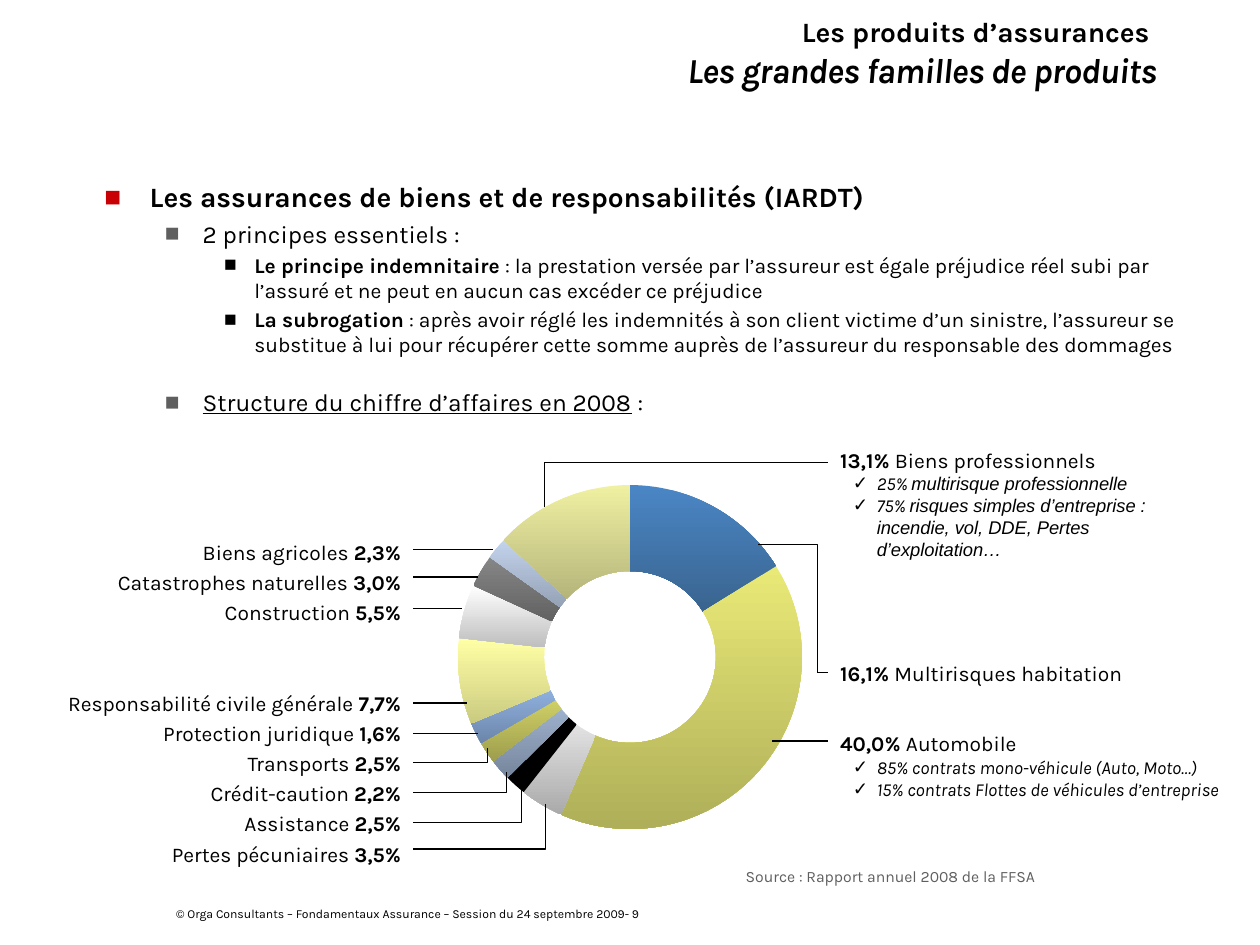
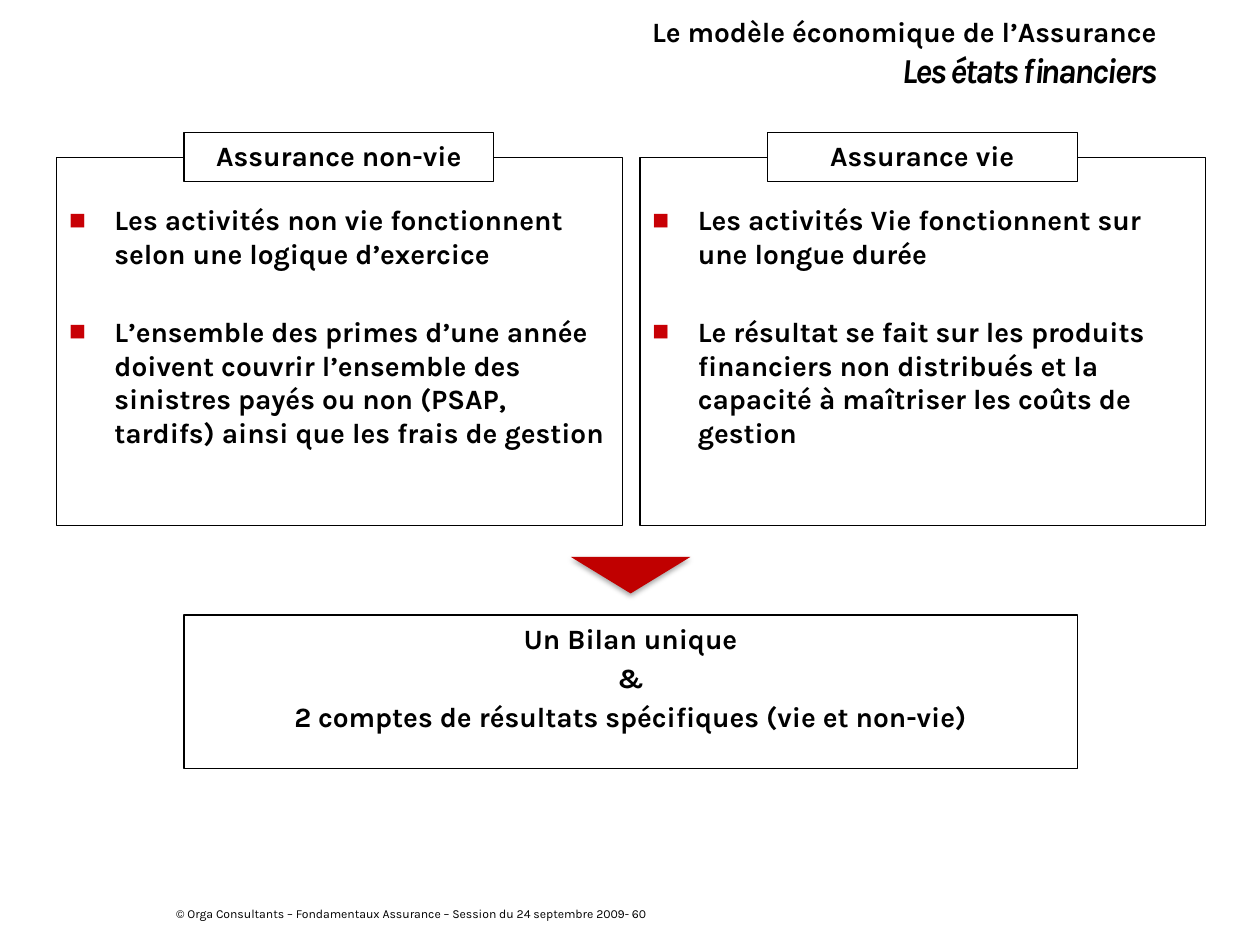
from dataclasses import dataclass
from lxml.etree import SubElement
from pptx import Presentation
from pptx.chart.data import CategoryChartData
from pptx.dml.color import RGBColor
from pptx.enum.chart import XL_CHART_TYPE as ChartType
from pptx.enum.shapes import MSO_CONNECTOR as Link, MSO_SHAPE as Preset
from pptx.enum.text import MSO_ANCHOR as Anchor, PP_ALIGN as Align
from pptx.oxml import parse_xml
from pptx.oxml.ns import nsdecls, qn
from pptx.util import Inches, Pt

COLUMNS, ROWS = 10, 7.5
WIDTH, HEIGHT = Inches(COLUMNS), Inches(ROWS)


@dataclass(frozen=True)
class Theme:
    font: str = "Karla"
    plain_font: str = "Arial"
    ink: str = "000000"
    paper: str = "FFFFFF"
    red: str = "C80005"
    arrow: str = "C00000"
    grey: str = "5F5F5F"
    title: int = 20
    heading: int = 16
    point: int = 14
    text: int = 12
    detail: float = 10.5
    source: int = 9
    footer: int = 7
    rule: float = 0.75
    gap: float = 0.2


THEME = Theme()
BOLD = {"bold": True}
ITALIC = {"italic": True}
PLAIN_ITALIC = {"italic": True, "name": THEME.plain_font}


def col(count):
    return round(WIDTH * count / COLUMNS)


def row(count):
    return round(HEIGHT * count / ROWS)


def area(left, top, width, height):
    return col(left), row(top), col(width), row(height)


def rgb(code):
    return RGBColor.from_string(code)


def para(*runs, size=THEME.text, align=Align.LEFT, before=0, line=None,
         bullet=None, color=None, indent=(0, 0)):
    return {"runs": runs, "size": size, "align": align, "before": before,
            "line": line, "bullet": bullet, "color": color, "indent": indent}


def square(*runs, level=0, before=None):
    size, color, indent = (
        (THEME.heading, THEME.red, (0.36, -0.36)),
        (THEME.point, THEME.grey, (0.78, -0.3)),
        (THEME.text, THEME.ink, (1.19, -0.24)),
    )[level]
    before = THEME.gap * size if before is None else before
    return para(*runs, size=size, before=before, bullet="■", color=color, indent=indent)


def tick(*runs):
    return para(*runs, size=THEME.detail, bullet="✓", color=THEME.ink, indent=(0.29, -0.19))


def add_bullet(properties, item):
    left, hanging = item["indent"]
    properties.set("marL", str(col(left)))
    properties.set("indent", str(col(hanging)))
    color = SubElement(properties, qn("a:buClr"))
    SubElement(color, qn("a:srgbClr"), val=item["color"])
    SubElement(properties, qn("a:buFont"), typeface=THEME.plain_font)
    SubElement(properties, qn("a:buChar"), char=item["bullet"])


def add_run(paragraph, text, size, style, color=THEME.ink):
    run = paragraph.add_run()
    run.text = text
    run.font.color.rgb = rgb(color)
    for key, value in {"name": THEME.font, "size": Pt(size), "bold": False, **style}.items():
        setattr(run.font, key, value)
    return run


def write(frame, items, color=THEME.ink, anchor=Anchor.TOP, top=0.05):
    layout = {"word_wrap": True, "vertical_anchor": anchor,
              "margin_left": col(0.1), "margin_right": col(0.1),
              "margin_top": row(top), "margin_bottom": row(0.05)}
    for key, value in layout.items():
        setattr(frame, key, value)
    for index, item in enumerate(items):
        paragraph = frame.add_paragraph() if index else frame.paragraphs[0]
        paragraph.alignment = item["align"]
        if index and item["before"]:
            paragraph.space_before = Pt(item["before"])
        if item["line"]:
            paragraph.line_spacing = item["line"]
        if item["bullet"]:
            add_bullet(paragraph._p.get_or_add_pPr(), item)
        for text, style in item["runs"]:
            add_run(paragraph, text, item["size"], style, color)


def add_text(slide, place, items, **options):
    write(slide.shapes.add_textbox(*area(*place)).text_frame, items, **options)


def add_panel(slide, place, items, fill=None, **options):
    panel = slide.shapes.add_shape(Preset.RECTANGLE, *area(*place))
    panel.shadow.inherit = False
    panel.line.color.rgb = rgb(THEME.ink)
    panel.line.width = Pt(THEME.rule)
    if fill:
        panel.fill.solid()
        panel.fill.fore_color.rgb = rgb(fill)
    else:
        panel.fill.background()
    write(panel.text_frame, items, **options)


def add_leader(slide, start, end, bend=1):
    kind = Link.STRAIGHT if start[1] == end[1] else Link.ELBOW
    leader = slide.shapes.add_connector(
        kind, col(start[0]), row(start[1]), col(end[0]), row(end[1]))
    leader.line.color.rgb = rgb(THEME.ink)
    leader.line.width = Pt(THEME.rule)
    properties = leader.element.spPr
    SubElement(properties, qn("a:effectLst"))
    if kind == Link.ELBOW:
        guides = properties.find(qn("a:prstGeom")).get_or_add_avLst()
        SubElement(guides, qn("a:gd"), name="adj1", fmla=f"val {round(bend * 100000)}")


def add_title(slide, theme_line, topic, tightness):
    frame = slide.shapes.add_textbox(*area(0.78, 0, 8.5, 0.83)).text_frame
    write(frame, [para((theme_line, BOLD), size=THEME.heading, align=Align.RIGHT)],
          anchor=Anchor.MIDDLE)
    paragraph = frame.paragraphs[0]
    paragraph.add_line_break()
    run = add_run(paragraph, topic, THEME.title, BOLD | ITALIC)
    run.font._element.set("spc", str(tightness))


def add_footer(slide, page):
    notice = f"© Orga Consultants – Fondamentaux Assurance – Session du 24 septembre 2009- {page}"
    add_text(slide, (1.3, 7.14, 7.09, 0.23), [para((notice, {}), size=THEME.footer)])


def start_slide(deck, theme_line, topic, tightness, page):
    slide = deck.slides.add_slide(deck.slide_layouts[6])
    add_title(slide, theme_line, topic, tightness)
    add_footer(slide, page)
    return slide


def add_ring(slide, slices):
    data = CategoryChartData()
    data.categories = [str(number + 1) for number in range(len(slices))]
    data.add_series("Series 1", [share for share, _, _ in slices])
    chart = slide.shapes.add_chart(
        ChartType.DOUGHNUT, *area(3.31, 3.7, 3.38, 3), data).chart
    chart.has_legend = chart.has_title = False
    chart.font.name = THEME.font
    chart.font.size = Pt(10)
    chart.font.color.rgb = rgb(THEME.ink)
    plot = chart.plots[0]
    plot.vary_by_categories = True
    plot.has_data_labels = False
    for number, (_, upper, lower) in enumerate(slices):
        style = plot.series[0].points[number].format
        style.line.fill.background()
        style.fill.gradient()
        style.fill.gradient_angle = 270
        for stop, shade in zip(style.fill.gradient_stops, (upper, lower)):
            stop.color.rgb = rgb(shade)
    plot_area = chart._chartSpace.find(".//" + qn("c:plotArea"))
    for former in plot_area.findall(qn("c:layout")):
        plot_area.remove(former)
    sizes = {"x": 0.09, "y": 0.05, "w": 0.82, "h": 0.91}
    frame = "".join(f'<c:{key} val="{value}"/>' for key, value in sizes.items())
    plot_area.insert(0, parse_xml(
        f'<c:layout {nsdecls("c")}><c:manualLayout><c:layoutTarget val="inner"/>'
        f'<c:xMode val="edge"/><c:yMode val="edge"/>{frame}</c:manualLayout></c:layout>'))


def add_down_arrow(slide):
    arrow = slide.shapes.add_shape(Preset.ISOSCELES_TRIANGLE, *area(4.53, 4.42, 0.95, 0.29))
    arrow.rotation = 180
    arrow.fill.solid()
    arrow.fill.fore_color.rgb = rgb(THEME.arrow)
    arrow.line.fill.background()
    arrow.shadow.inherit = False
    effects = arrow.element.spPr.find(qn("a:effectLst"))
    shadow = SubElement(effects, qn("a:outerShdw"), blurRad=str(Pt(3.1)),
                        dist=str(Pt(1.8)), dir="5400000", rotWithShape="0")
    tint = SubElement(shadow, qn("a:srgbClr"), val=THEME.ink)
    SubElement(tint, qn("a:alpha"), val="35000")


def build_products(deck):
    slide = start_slide(deck, "Les produits d’assurances ",
                        "Les grandes familles de produits", -40, 9)
    add_text(slide, (0.73, 1.38, 8.72, 5.13), [
        square(("Les assurances de biens et de responsabilités (IARDT)", BOLD)),
        square(("2 principes essentiels :", {}), level=1),
        square(("Le principe indemnitaire", BOLD),
               (" : la prestation versée par l’assureur est égale préjudice réel subi par "
                "l’assuré et ne peut en aucun cas excéder ce préjudice", {}), level=2),
        square(("La subrogation", BOLD),
               (" : après avoir réglé les indemnités à son client victime d’un sinistre, "
                "l’assureur se substitue à lui pour récupérer cette somme auprès de "
                "l’assureur du responsable des dommages", {}), level=2),
        square(("Structure du chiffre d’affaires en 2008", {"underline": True}),
               (" :", {}), level=1, before=17),
    ])
    add_text(slide, (5.82, 6.83, 2.75, 0.25),
             [para(("Source : Rapport annuel 2008 de la FFSA", {}), size=THEME.source)],
             color=THEME.grey)
    add_ring(slide, [
        (16, "4A86C5", "3A648F"), (40, "E9E977", "AFAF59"),
        (4, "E2E2E2", "AAAAAA"), (2, "000000", "000000"),
        (2, "9DB0CC", "76869C"), (2, "CFCF66", "9E9E4E"),
        (2, "8FB0DE", "6C86AA"), (8, "FFFFA6", "CBCB80"),
        (5, "FFFFFF", "BEBEBE"), (3, "868686", "626262"),
        (2, "C3D3EC", "95A2B6"), (13, "F0F0A2", "B5B57B"),
    ])
    families = [
        ("Biens agricoles", "2,3%"), ("Catastrophes naturelles", "3,0%"),
        ("Construction", "5,5%"), ("Responsabilité civile générale", "7,7%"),
        ("Protection juridique", "1,6%"), ("Transports", "2,5%"),
        ("Crédit-caution", "2,2%"), ("Assistance", "2,5%"), ("Pertes pécuniaires", "3,5%"),
    ]
    add_text(slide, (0.17, 4.19, 3.11, 2.82), [
        para((family + " ", {}), (share, BOLD), align=Align.RIGHT, line=1.2,
             before=34.5 if family.startswith("Resp") else 0)
        for family, share in families])
    for level, reach, target in [
        (4.36, 3.91, 4.36), (4.58, 3.79, 4.58), (4.83, 3.67, 4.83),
        (5.58, 3.71, 5.58), (5.82, 3.79, 5.82), (6.05, 3.87, 5.94),
        (6.29, 4.02, 6.13), (6.53, 4.14, 6.25), (6.74, 4.33, 6.38),
    ]:
        add_leader(slide, (3.28, level), (reach, target))
    add_leader(slide, (6.57, 3.67), (4.32, 4.02))
    add_leader(slide, (6.49, 5.34), (6.02, 4.32), bend=0)
    add_leader(slide, (6.49, 5.34), (6.57, 5.34))
    add_leader(slide, (6.13, 5.88), (6.57, 5.88))
    add_text(slide, (6.57, 3.5, 3.11, 1.36), [
        para(("13,1% ", BOLD), ("Biens professionnels", {})),
        tick(("25% ", ITALIC), ("multirisque professionnelle", PLAIN_ITALIC)),
        tick(("75% ", ITALIC), ("risques simples d’entreprise : incendie, vol, DDE, "
                                "Pertes d’exploitation…", PLAIN_ITALIC)),
    ])
    add_text(slide, (6.57, 5.19, 2.51, 0.3),
             [para(("16,1%", BOLD), (" Multirisques habitation", {}))])
    add_text(slide, (6.57, 5.75, 3.39, 0.83), [
        para(("40,0% ", BOLD), ("Automobile", {})),
        tick(("85% contrats mono-véhicule (Auto, Moto…)", ITALIC)),
        tick(("15% contrats Flottes de véhicules d’entreprise", ITALIC)),
    ])


def centred(text):
    return para((text, BOLD), size=THEME.heading, align=Align.CENTER,
                before=THEME.gap * THEME.heading)


def build_statements(deck):
    slide = start_slide(deck, "Le modèle économique de l’Assurance",
                        "Les états financiers", -120, 60)
    branches = [
        ("Assurance non-vie", "Les activités non vie fonctionnent selon une logique d’exercice",
         "L’ensemble des primes d’une année doivent couvrir l’ensemble des sinistres payés "
         "ou non (PSAP, tardifs) ainsi que les frais de gestion"),
        ("Assurance vie", "Les activités Vie fonctionnent sur une longue durée",
         "Le résultat se fait sur les produits financiers non distribués et la capacité à "
         "maîtriser les coûts de gestion"),
    ]
    for number, (branch, activity, balance) in enumerate(branches):
        left = 0.45 + number * 4.63
        add_panel(slide, (left, 1.25, 4.49, 2.92),
                  [square((activity, BOLD)), square((balance, BOLD), before=25.5)], top=0.36)
        add_panel(slide, (left + 1.01, 1.05, 2.46, 0.39), [centred(branch)], fill=THEME.paper)
    add_down_arrow(slide)
    add_panel(slide, (1.46, 4.88, 7.09, 1.22), [
        centred(line) for line in
        ("Un Bilan unique", "&", "2 comptes de résultats spécifiques (vie et non-vie)")])


def main():
    deck = Presentation()
    deck.slide_width, deck.slide_height = WIDTH, HEIGHT
    build_products(deck)
    build_statements(deck)
    deck.save("out.pptx")


if __name__ == "__main__":
    main()
